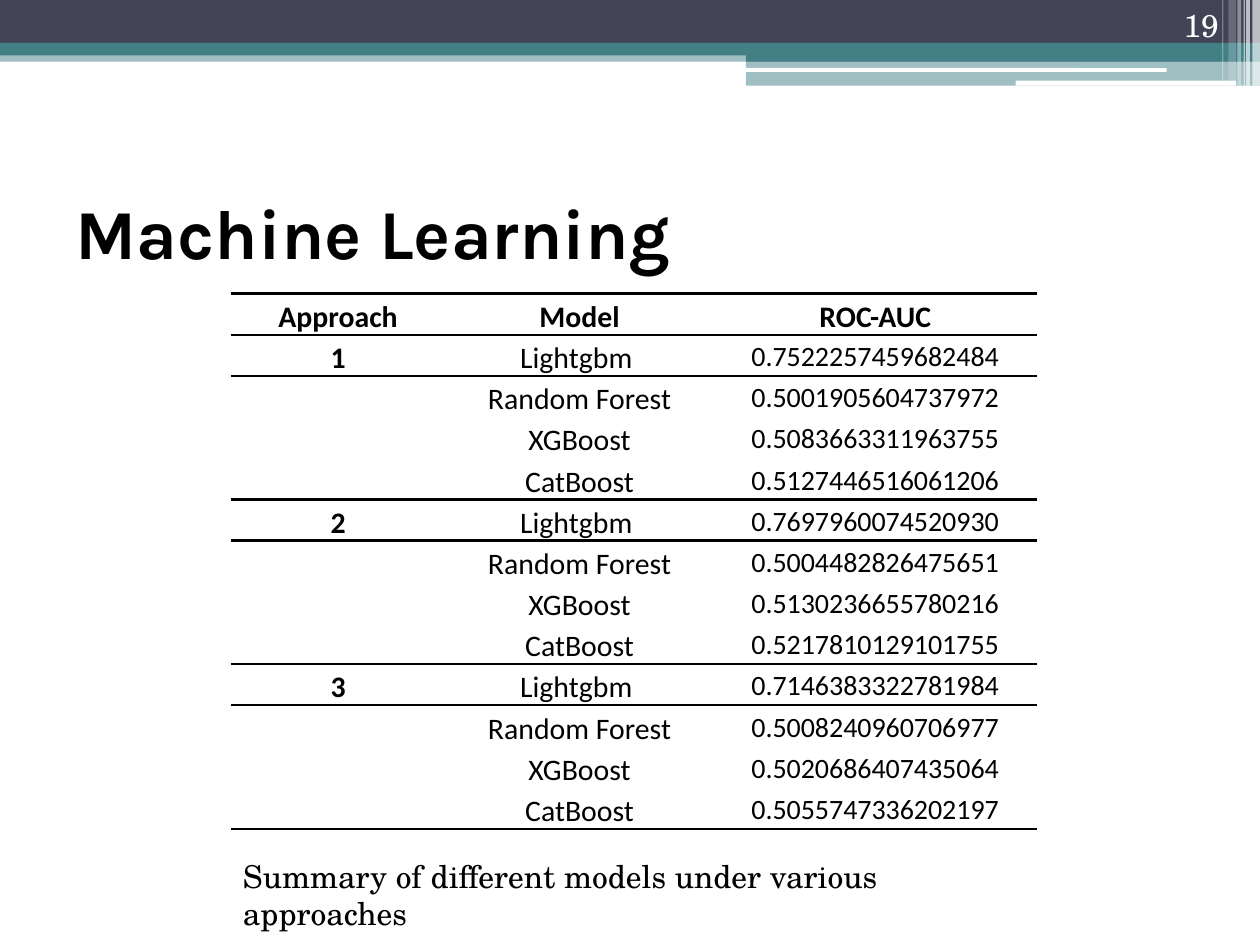
from lxml.etree import SubElement
from pptx import Presentation
from pptx.dml.color import RGBColor
from pptx.enum.shapes import MSO_SHAPE
from pptx.enum.text import MSO_ANCHOR, PP_ALIGN
from pptx.oxml.ns import qn
from pptx.util import Inches, Pt

BLACK = RGBColor(0x00, 0x00, 0x00)
WHITE = RGBColor(0xFF, 0xFF, 0xFF)
SLATE = RGBColor(0x42, 0x44, 0x56)
TEAL = RGBColor(0x43, 0x80, 0x86)
SERIF, SANS, HEAD = "TeX Gyre Schola", "Calibri", "Karla"
NO_STYLE = "{2D5ABB26-0587-4C30-8999-92F81FD0307C}"

MODELS = ["Lightgbm ", "Random Forest", "XGBoost", "CatBoost"]
SCORES = {
    "1": ["0.7522257459682484", "0.5001905604737972",
          "0.5083663311963755", "0.5127446516061206"],
    "2": ["0.7697960074520930", "0.5004482826475651",
          "0.5130236655780216", "0.5217810129101755"],
    "3": ["0.7146383322781984", "0.5008240960706977",
          "0.5020686407435064", "0.5055747336202197"],
}


def inches(box):
    return [Inches(v) for v in box]


def format_text(p, font, size, color, bold=False, align=None):
    p.alignment = align
    for r in p.runs:
        r.font.name, r.font.size, r.font.bold = font, Pt(size), bold
        r.font.color.rgb = color


def add_bar(s, box, color, opacity=100, rounded=False):
    kind = MSO_SHAPE.ROUNDED_RECTANGLE if rounded else MSO_SHAPE.RECTANGLE
    sp = s.shapes.add_shape(kind, *inches(box))
    sp.shadow.inherit = False
    sp.line.fill.background()
    sp.fill.solid()
    sp.fill.fore_color.rgb = color
    if opacity < 100:
        clr = sp.fill._xPr.find(qn("a:solidFill"))[0]
        SubElement(clr, qn("a:alpha"), val=str(opacity * 1000))


def add_banner(s, width):
    # Full-width bands
    add_bar(s, (0, 0.4, width, 0.09), TEAL, 50)
    add_bar(s, (0, 0, width, 0.34), SLATE)
    add_bar(s, (0, 0.34, width, 0.1), TEAL)
    # Right-hand step with white rules
    step = 0.592 * width
    add_bar(s, (step, 0.39, width - step, 0.1), TEAL)
    add_bar(s, (step, 0.48, width - step, 0.2), TEAL, 50)
    add_bar(s, (step - 0.01, 0.54, 3.35, 0.03), WHITE, rounded=True)
    add_bar(s, (width - 1.94, 0.64, 1.75, 0.04), WHITE, rounded=True)
    # Stripes at the right edge: distance from edge, width, height, opacity
    for offset, w, h, opacity in [
        (0.06, 0.06, 0.68, 65), (0.11, 0.03, 0.68, 65), (0.13, 0.01, 0.68, 60),
        (0.18, 0.03, 0.68, 40), (0.25, 0.06, 0.64, 20), (0.3, 0.01, 0.64, 30),
    ]:
        add_bar(s, (width - offset, 0, w, h), WHITE, opacity)


def add_title(s, box, text):
    title = s.shapes.title
    title.left, title.top, title.width, title.height = inches(box)
    tf = title.text_frame
    tf.text = text
    tf.vertical_anchor = MSO_ANCHOR.MIDDLE
    format_text(tf.paragraphs[0], HEAD, 40, BLACK, True, PP_ALIGN.LEFT)


def add_text(s, box, text, color, align=PP_ALIGN.LEFT, anchor=MSO_ANCHOR.TOP):
    tf = s.shapes.add_textbox(*inches(box)).text_frame
    tf.word_wrap = True
    tf.vertical_anchor = anchor
    tf.text = text
    format_text(tf.paragraphs[0], SERIF, 18, color, align=align)


def add_border(cell, side):
    ln = SubElement(cell._tc.get_or_add_tcPr(), qn("a:" + side), w=str(Pt(1.5)))
    fill = SubElement(ln, qn("a:solidFill"))
    SubElement(fill, qn("a:srgbClr"), val=str(BLACK))


def add_score_table(s, box, shares):
    rows = [("Approach", "Model", "ROC-AUC")]
    for approach, scores in SCORES.items():
        for i, (model, score) in enumerate(zip(MODELS, scores)):
            rows.append(("" if i else approach, model, score))

    table = s.shapes.add_table(len(rows), len(shares), *inches(box)).table
    table.first_row = table.horz_banding = False
    table._tbl.tblPr.find(qn("a:tableStyleId")).text = NO_STYLE
    for col, share in zip(table.columns, shares):
        col.width = Inches(box[2] * share / sum(shares))

    for i, row in enumerate(rows):
        table.rows[i].height = Inches(box[3] / len(rows))
        for j, text in enumerate(row):
            cell = table.cell(i, j)
            # Rules frame the header and close each group of models
            if i == 0 or i % len(MODELS) == 1:
                add_border(cell, "lnT")
            if i % len(MODELS) == 0:
                add_border(cell, "lnB")
            cell.fill.background()
            cell.margin_left = cell.margin_right = Inches(0.11)
            cell.margin_top = cell.margin_bottom = 0
            if not text:
                continue
            is_score = i > 0 and j == 2
            cell.text_frame.text = text
            p = cell.text_frame.paragraphs[0]
            p.line_spacing = 1.15
            p.space_before = Pt(0 if is_score else 6.5)
            format_text(p, SANS, 16 if is_score else 17, BLACK,
                        i == 0 or j == 0, PP_ALIGN.CENTER)


prs = Presentation()
prs.slide_width, prs.slide_height = Inches(10), Inches(7.5)
s = prs.slides.add_slide(prs.slide_layouts[5])

add_banner(s, 10)
add_title(s, (0.5, 1.25, 9, 1.17), "Machine Learning")
add_text(s, (8.94, 0, 0.83, 0.4), "19", WHITE, PP_ALIGN.RIGHT, MSO_ANCHOR.BOTTOM)
add_score_table(s, (1.83, 2.33, 6.4, 4.25), (1.71, 2.13, 2.57))
add_text(s, (1.83, 6.75, 6.42, 0.4),
         "Summary of different models under various approaches", BLACK)

prs.save("out.pptx")
